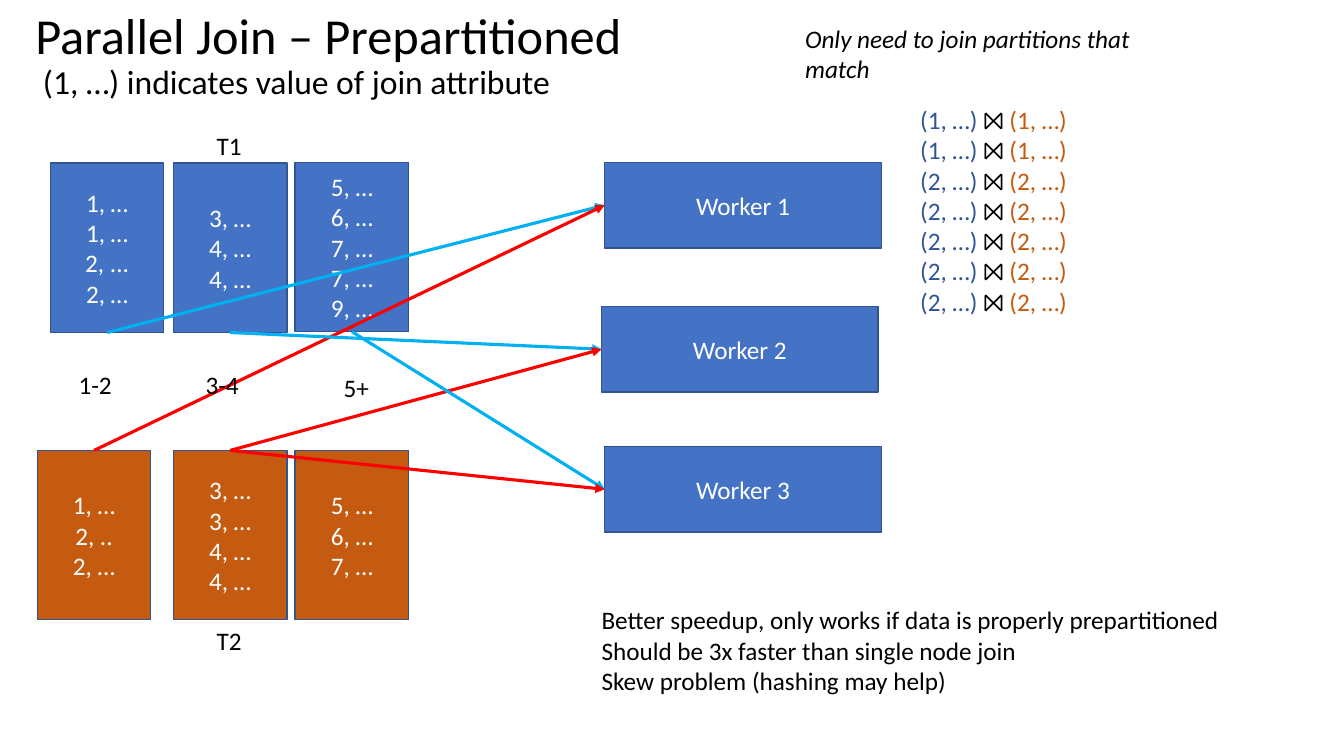
from dataclasses import dataclass

from lxml import etree
from pptx import Presentation
from pptx.dml.color import RGBColor
from pptx.enum.shapes import MSO_CONNECTOR, MSO_SHAPE
from pptx.enum.text import MSO_ANCHOR, PP_ALIGN
from pptx.oxml.ns import qn
from pptx.util import Cm, Pt

RECT = MSO_SHAPE.RECTANGLE
STRAIGHT = MSO_CONNECTOR.STRAIGHT
MIDDLE = MSO_ANCHOR.MIDDLE
CENTER = PP_ALIGN.CENTER
TOP, LEFT, BOTTOM = 0, 1, 2


@dataclass(frozen=True)
class Theme:
    font: str = "Calibri"
    title: Pt = Pt(36)
    subtitle: Pt = Pt(24)
    body: Pt = Pt(18)
    black: RGBColor = RGBColor(0x00, 0x00, 0x00)
    white: RGBColor = RGBColor(0xFF, 0xFF, 0xFF)
    blue: RGBColor = RGBColor(0x44, 0x72, 0xC4)
    outline: RGBColor = RGBColor(0x32, 0x54, 0x91)
    orange: RGBColor = RGBColor(0xC5, 0x5A, 0x11)
    dark_blue: RGBColor = RGBColor(0x2F, 0x55, 0x97)
    t1_flow: RGBColor = RGBColor(0x00, 0xB0, 0xF0)
    t2_flow: RGBColor = RGBColor(0xFF, 0x00, 0x00)


THEME = Theme()

# Partition boxes: left, top, row values
T1_PARTITIONS = [
    (1.27, 4.11, ["1, …", "1, …", "2, ...", "2, …"]),
    (4.37, 4.11, ["3, …", "4, …", "4, …"]),
    (7.44, 4.09, ["5, …", "6, …", "7, …", "7, …", "9, …"]),
]
T2_PARTITIONS = [
    (0.94, 11.35, ["1, …", "2, ..", "2, …"]),
    (4.37, 11.35, ["3, …", "3, …", "4, …", "4, …"]),
    (7.44, 11.35, ["5, …", "6, …", "7, …"]),
]
WORKERS = [(15.24, 4.09), (15.16, 7.72), (15.24, 11.25)]
# Index of the T2 partition that feeds each worker
T2_SOURCES = [0, 1, 1]
RANGES = [("1-2", 1.73, 9.19), ("3-4", 4.93, 9.19), ("5+", 8.41, 9.25)]
MATCHED_KEYS = [1, 1, 2, 2, 2, 2, 2]


def style(p, color, size=THEME.body):
    p.font.name = THEME.font
    p.font.size = size
    p.font.color.rgb = color


def fill_lines(tf, lines, color):
    for i, line in enumerate(lines):
        p = tf.paragraphs[0] if i == 0 else tf.add_paragraph()
        p.text = line
        style(p, color)


def add_box(slide, left, top, width, height, lines, fill):
    s = slide.shapes.add_shape(RECT, Cm(left), Cm(top), Cm(width), Cm(height))
    s.shadow.inherit = False
    s.fill.solid()
    s.fill.fore_color.rgb = fill
    s.line.color.rgb = THEME.outline
    s.line.width = Pt(1)
    tf = s.text_frame
    tf.vertical_anchor = MIDDLE
    fill_lines(tf, lines, THEME.white)
    for p in tf.paragraphs:
        p.alignment = CENTER
    return s


def add_text(slide, left, top, width, height, lines=(), wrap=True):
    s = slide.shapes.add_textbox(Cm(left), Cm(top), Cm(width), Cm(height))
    tf = s.text_frame
    tf.word_wrap = wrap
    fill_lines(tf, lines, THEME.black)
    return tf


def add_arrow(slide, start, start_side, end, color):
    c = slide.shapes.add_connector(STRAIGHT, 0, 0, 0, 0)
    c.begin_connect(start, start_side)
    c.end_connect(end, LEFT)
    c.line.color.rgb = color
    c.line.width = Pt(2.25)
    etree.SubElement(c.line._get_or_add_ln(), qn("a:tailEnd"), type="triangle")
    etree.SubElement(c._element.spPr, qn("a:effectLst"))


def add_title(slide, title, subtitle):
    tf = add_text(slide, 0.64, -0.41, 29.21, 3.68)
    tf.vertical_anchor = MIDDLE
    p = tf.paragraphs[0]
    p.line_spacing = 0.9
    style(p, THEME.black, THEME.title)
    p.add_run().text = title
    p.add_line_break()
    r = p.add_run()
    r.text = subtitle
    r.font.size = THEME.subtitle


def add_matches(slide, keys):
    tf = add_text(slide, 22.94, 2.51, 5.92, 5.64)
    for i, key in enumerate(keys):
        p = tf.paragraphs[0] if i == 0 else tf.add_paragraph()
        style(p, THEME.black)
        for text, color in ((f"({key}, …) ", THEME.dark_blue),
                            ("⨝ ", THEME.black),
                            (f"({key}, …)", THEME.orange)):
            r = p.add_run()
            r.text = text
            r.font.color.rgb = color


def main():
    prs = Presentation()
    prs.slide_width, prs.slide_height = Cm(33.87), Cm(19.05)
    slide = prs.slides.add_slide(prs.slide_layouts[6])

    add_title(slide, "Parallel Join – Prepartitioned",
              " (1, …) indicates value of join attribute")

    # Partitions of both tables
    t1 = [add_box(slide, x, y, 2.86, 4.27, rows, THEME.blue)
          for x, y, rows in T1_PARTITIONS]
    t2 = [add_box(slide, x, y, 2.86, 4.27, rows, THEME.orange)
          for x, y, rows in T2_PARTITIONS]
    add_text(slide, 5.21, 3.15, 1.14, 1.02, ["T1"], wrap=False)
    add_text(slide, 5.21, 15.62, 1.14, 1.02, ["T2"], wrap=False)

    # Workers and the partitions sent to them
    workers = [add_box(slide, x, y, 6.97, 2.16, [f"Worker {n}"], THEME.blue)
               for n, (x, y) in enumerate(WORKERS, 1)]
    for worker, t1_part, source in zip(workers, t1, T2_SOURCES):
        add_arrow(slide, t1_part, BOTTOM, worker, THEME.t1_flow)
        add_arrow(slide, t2[source], TOP, worker, THEME.t2_flow)

    # Join results
    tf = add_text(slide, 20.04, 0.46, 10.44, 1.8,
                  ["Only need to join partitions that match"])
    tf.paragraphs[0].font.italic = True
    add_matches(slide, MATCHED_KEYS)

    # Conclusions and key ranges
    add_text(slide, 14.91, 15.11, 16.08, 3.33, [
        "Better speedup, only works if data is properly prepartitioned",
        "Should be 3x faster than single node join",
        "Skew problem (hashing may help)",
    ])
    for label, x, y in RANGES:
        add_text(slide, x, y, 2.57, 1.02, [label])

    prs.save("out.pptx")


if __name__ == "__main__":
    main()
